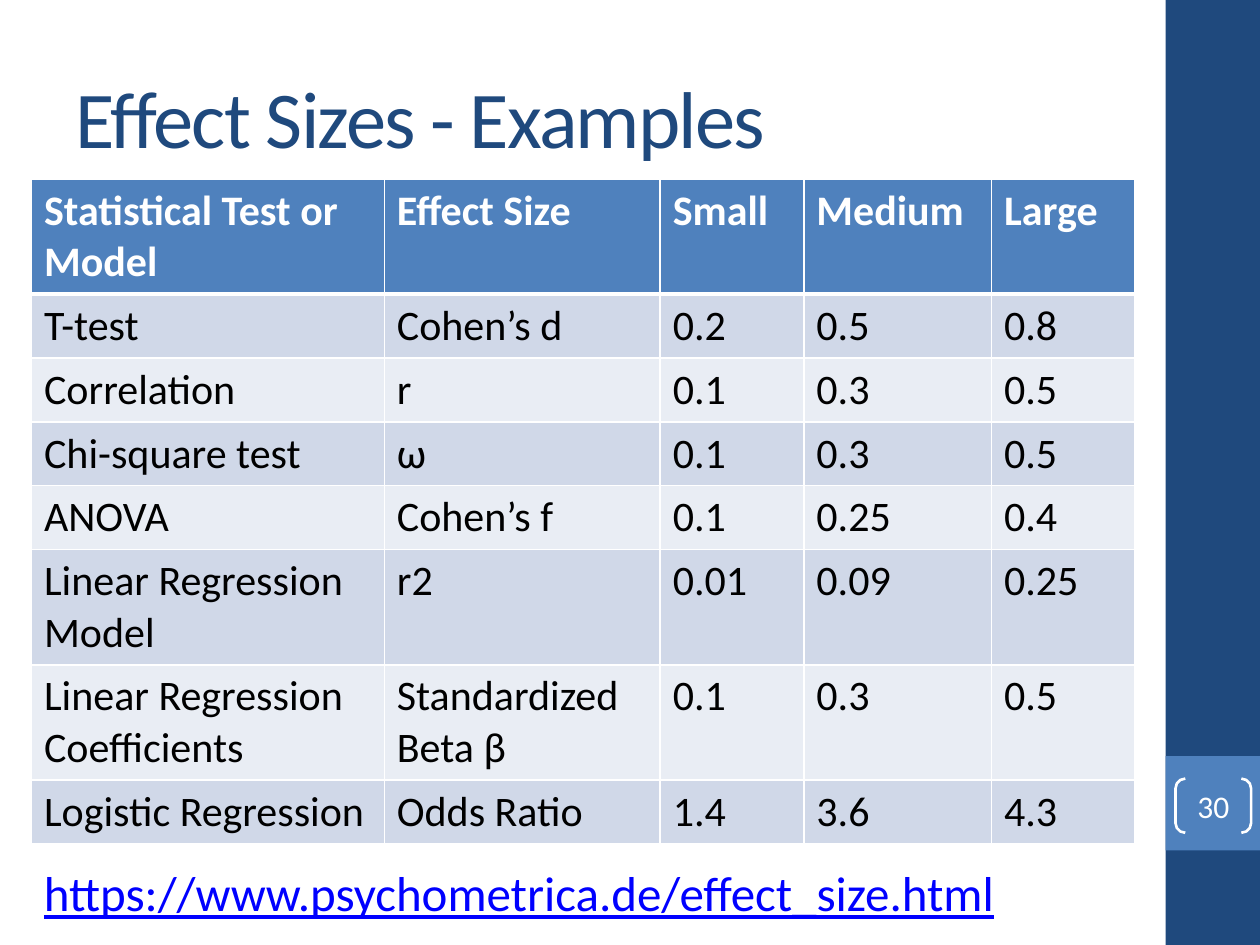
from pptx import Presentation
from pptx.dml.color import RGBColor
from pptx.enum.shapes import MSO_SHAPE as SHAPE
from pptx.enum.text import MSO_ANCHOR as ANCHOR, PP_ALIGN as ALIGN
from pptx.oxml import parse_xml
from pptx.oxml.ns import nsdecls
from pptx.util import Inches, Pt

NAVY, BLUE, WHITE, BLACK, LINK = "1F497D", "4F81BD", "FFFFFF", "000000", "0000FF"
BANDS = ("D0D8E8", "E9EDF4")

TITLE = "Effect Sizes - Examples"
SOURCE_URL = "https://www.psychometrica.de/effect_size.html"
PAGE = "30"
HEADER = ("Statistical Test or Model", "Effect Size", "Small", "Medium", "Large")
ROWS = [
    ("T-test", "Cohen’s d", "0.2", "0.5", "0.8"),
    ("Correlation", "r", "0.1", "0.3", "0.5"),
    ("Chi-square test", "ω", "0.1", "0.3", "0.5"),
    ("ANOVA", "Cohen’s f", "0.1", "0.25", "0.4"),
    ("Linear Regression Model", "r2", "0.01", "0.09", "0.25"),
    ("Linear Regression Coefficients", "Standardized Beta β", "0.1", "0.3", "0.5"),
    ("Logistic Regression", "Odds Ratio", "1.4", "3.6", "4.3"),
]
COL_WIDTHS = (2.8, 2.19, 1.14, 1.49, 1.14)
ROW_HEIGHT = 0.41

SLIDE_W, SLIDE_H = 10, 7.5
BAR_W = 0.75
BAR_X = SLIDE_W - BAR_W
MARGIN = 0.25


def rgb(color):
    return RGBColor.from_string(color)


def box(*lengths):
    return [Inches(v) for v in lengths]


def write(tf, text, size, color, bold=False, underline=False, align=ALIGN.LEFT, spacing=None):
    p = tf.paragraphs[0]
    p.alignment = align
    r = p.add_run()
    r.text = text
    font = r.font
    font.name, font.size, font.bold, font.underline = "Calibri", Pt(size), bold, underline
    font.color.rgb = rgb(color)
    if spacing is not None:
        r._r.get_or_add_rPr().set("spc", str(spacing * 100))


def add_shape(kind, at, fill=None, line=None):
    sp = s.shapes.add_shape(kind, *box(*at))
    sp.shadow.inherit = False
    if fill:
        sp.fill.solid()
        sp.fill.fore_color.rgb = rgb(fill)
    else:
        sp.fill.background()
    if line:
        sp.line.color.rgb = rgb(line)
        sp.line.width = Pt(1.5)
    else:
        sp.line.fill.background()
    return sp


def set_borders(cell, bottom):
    """Draw white cell borders, 1 pt wide except for the bottom one."""
    tcPr = cell._tc.get_or_add_tcPr()
    sides = (("lnL", 1), ("lnR", 1), ("lnT", 1), ("lnB", bottom))
    for i, (tag, width) in enumerate(sides):
        tcPr.insert(i, parse_xml(
            f'<a:{tag} {nsdecls("a")} w="{Pt(width)}"><a:solidFill>'
            f'<a:srgbClr val="{WHITE}"/></a:solidFill></a:{tag}>'))


prs = Presentation()
prs.slide_width, prs.slide_height = box(SLIDE_W, SLIDE_H)
s = prs.slides.add_slide(prs.slide_layouts[5])

title = s.shapes.title
title.left, title.top, title.width, title.height = box(0.5, 0.3, 8.33, 1.25)
title.text_frame.vertical_anchor = ANCHOR.MIDDLE
write(title.text_frame, TITLE, 46, NAVY, spacing=-1)

add_shape(SHAPE.RECTANGLE, (BAR_X, 0, BAR_W, SLIDE_H), fill=NAVY)
add_shape(SHAPE.RECTANGLE, (BAR_X, 6, BAR_W, BAR_W), fill=BLUE)
page = add_shape(SHAPE.DOUBLE_BRACKET, (9.33, 6.18, 0.6, 0.43), line=WHITE)
page.adjustments[0] = 0.18
tf = page.text_frame
tf.margin_left = tf.margin_right = tf.margin_top = tf.margin_bottom = 0
tf.vertical_anchor = ANCHOR.MIDDLE
write(tf, PAGE, 18, WHITE, align=ALIGN.CENTER)

frame = s.shapes.add_table(len(ROWS) + 1, len(HEADER), *box(MARGIN, 1.42, sum(COL_WIDTHS), 5.2))
table = frame.table
for col, width in zip(table.columns, COL_WIDTHS):
    col.width = Inches(width)
for i, values in enumerate([HEADER] + ROWS):
    is_header = i == 0
    table.rows[i].height = Inches(ROW_HEIGHT)
    for j, text in enumerate(values):
        cell = table.cell(i, j)
        cell.fill.solid()
        cell.fill.fore_color.rgb = rgb(BLUE if is_header else BANDS[(i - 1) % 2])
        set_borders(cell, bottom=3 if is_header else 1)
        write(cell.text_frame, text, 24, WHITE if is_header else BLACK, bold=is_header)
frame.height = Inches(5.2)

link = s.shapes.add_textbox(*box(MARGIN, 6.8, 7.84, 0.57))
link.text_frame.word_wrap = False
write(link.text_frame, SOURCE_URL, 28, LINK, underline=True)

prs.save("out.pptx")
